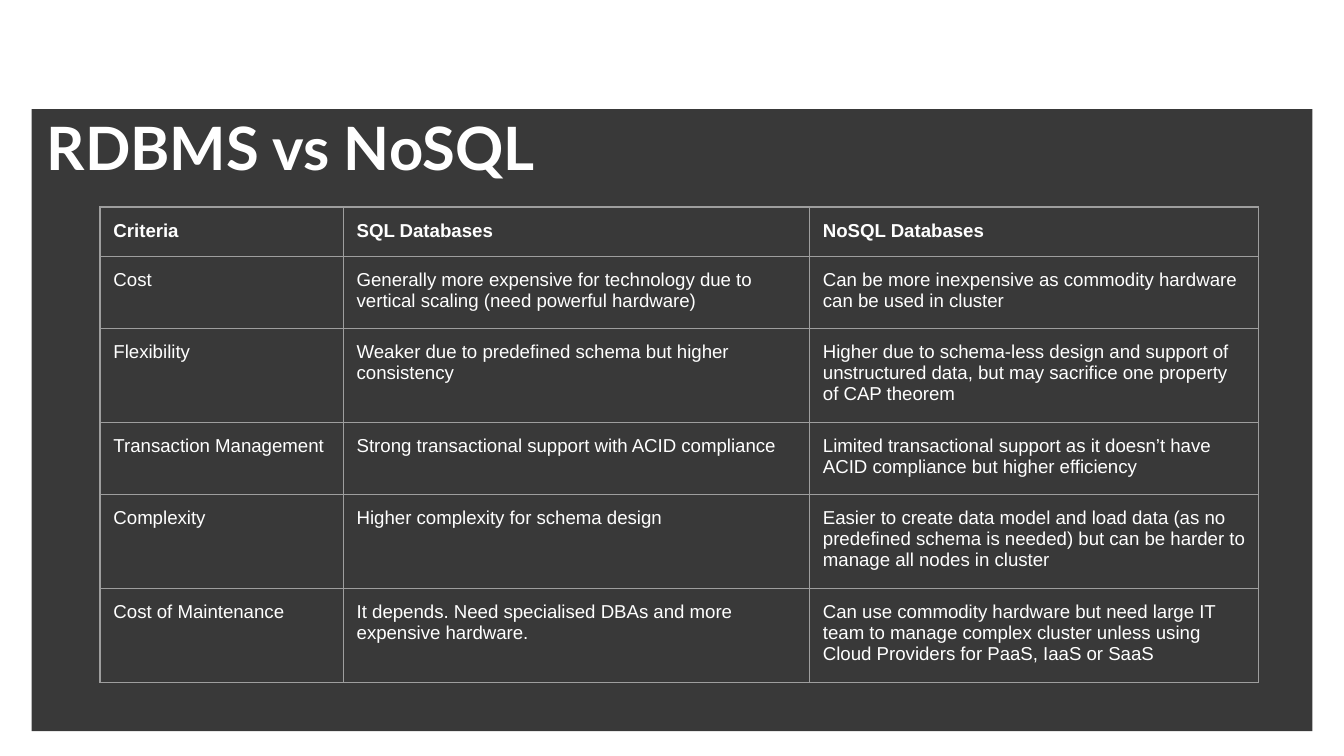
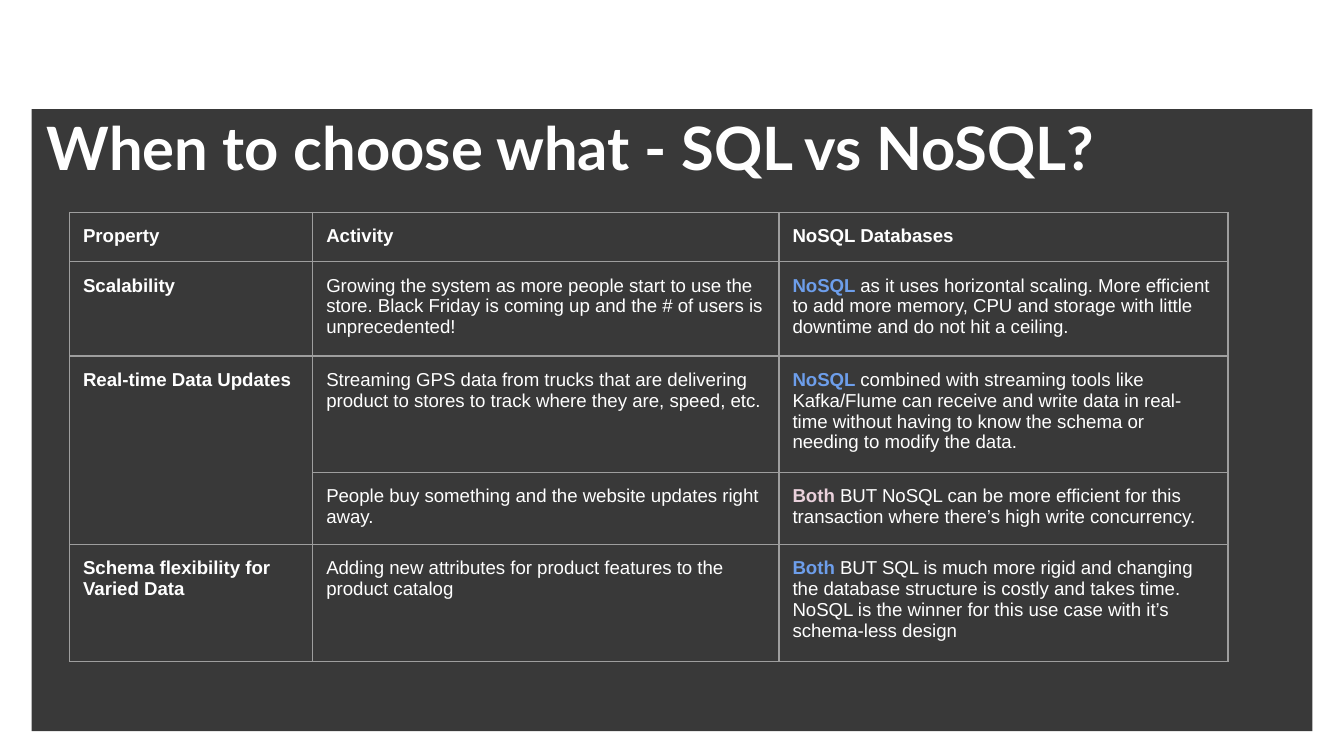
from lxml import etree
from pptx import Presentation
from pptx.dml.color import RGBColor
from pptx.enum.shapes import MSO_SHAPE
from pptx.enum.text import MSO_ANCHOR, PP_ALIGN
from pptx.oxml.ns import qn
from pptx.util import Pt

# Shared style
WHITE, PANEL, BORDER = "FFFFFF", "393939", "9E9E9E"
BLUE, PINK = "6D9EEB", "EAD1DC"
TITLE_FONT, BODY_FONT = "Lato", "Arial"
COLUMN_WIDTHS = (130.3, 249.8, 240.5)
CELL_MARGIN = 7.2
ROW_HEIGHT, SPLIT_ROW_HEIGHT = 17.28, 7.92

# Table contents: a cell is text, or a (verdict, colour, rest) tuple
COMPARISON = [
    ("Criteria", "SQL Databases", "NoSQL Databases"),
    ("Cost",
     "Generally more expensive for technology due to vertical scaling (need powerful hardware)",
     "Can be more inexpensive as commodity hardware can be used in cluster"),
    ("Flexibility",
     "Weaker due to predefined schema but higher consistency",
     "Higher due to schema-less design and support of unstructured data, "
     "but may sacrifice one property of CAP theorem"),
    ("Transaction Management",
     "Strong transactional support with ACID compliance",
     "Limited transactional support as it doesn’t have ACID compliance but higher efficiency"),
    ("Complexity",
     "Higher complexity for schema design",
     "Easier to create data model and load data (as no predefined schema is needed) "
     "but can be harder to manage all nodes in cluster"),
    ("Cost of Maintenance",
     "It depends. Need specialised DBAs and more expensive hardware.",
     "Can use commodity hardware but need large IT team to manage complex cluster "
     "unless using Cloud Providers for PaaS, IaaS or SaaS"),
]
CHOICES = [
    ("Property", "Activity", "NoSQL Databases"),
    ("Scalability",
     "Growing the system as more people start to use the store. "
     "Black Friday is coming up and the # of users is unprecedented!",
     ("NoSQL ", BLUE, "as it uses horizontal scaling. More efficient to add more memory, "
      "CPU and storage with little downtime and do not hit a ceiling.")),
    ("Real-time Data Updates",
     "Streaming GPS data from trucks that are delivering product to stores "
     "to track where they are, speed, etc.",
     ("NoSQL ", BLUE, "combined with streaming tools like Kafka/Flume can receive and write "
      "data in real-time without having to know the schema or needing to modify the data.")),
    ("",
     "People buy something and the website updates right away.",
     ("Both ", PINK, "BUT NoSQL can be more efficient for this transaction "
      "where there’s high write concurrency.")),
    ("Schema flexibility for Varied Data",
     "Adding new attributes for product features to the product catalog",
     ("Both ", BLUE, "BUT SQL is much more rigid and changing the database structure is costly "
      "and takes time. NoSQL is the winner for this use case with it’s schema-less design")),
]


def color(hex_string):
    return RGBColor.from_string(hex_string)


def add_text(paragraph, text, font=BODY_FONT, size=10, fill=WHITE, bold=False):
    paragraph.font.size = Pt(size)
    if text:
        run = paragraph.add_run()
        run.text = text
        run.font.name = font
        run.font.size = Pt(size)
        run.font.bold = bold
        run.font.color.rgb = color(fill)


def add_rectangle(slide, left, top, width, height, fill):
    shape = slide.shapes.add_shape(
        MSO_SHAPE.RECTANGLE, Pt(left), Pt(top), Pt(width), Pt(height))
    shape.shadow.inherit = False
    shape.fill.solid()
    shape.fill.fore_color.rgb = color(fill)
    shape.line.fill.background()


def add_title(slide, text):
    box = slide.shapes.add_textbox(Pt(18), Pt(58.3), Pt(684), Pt(41))
    frame = box.text_frame
    frame.word_wrap = True
    frame.vertical_anchor = MSO_ANCHOR.MIDDLE
    paragraph = frame.paragraphs[0]
    paragraph.alignment = PP_ALIGN.LEFT
    add_text(paragraph, text, font=TITLE_FONT, size=32, bold=True)


def add_borders(cell):
    properties = cell._tc.get_or_add_tcPr()
    for position, side in enumerate(("lnL", "lnR", "lnT", "lnB")):
        line = etree.Element(qn(f"a:{side}"), w=str(Pt(0.75)))
        fill = etree.SubElement(line, qn("a:solidFill"))
        etree.SubElement(fill, qn("a:srgbClr"), val=BORDER)
        properties.insert(position, line)


def fill_cell(cell, content, bold):
    cell.fill.background()
    add_borders(cell)
    cell.margin_left = cell.margin_right = Pt(CELL_MARGIN)
    cell.margin_top = cell.margin_bottom = Pt(CELL_MARGIN)
    paragraph = cell.text_frame.paragraphs[0]
    if isinstance(content, tuple):
        verdict, verdict_color, content = content
        add_text(paragraph, verdict, fill=verdict_color, bold=True)
    add_text(paragraph, content, bold=bold)


def add_grid(slide, left, top, rows, bold_labels=False, split_rows=()):
    frame = slide.shapes.add_table(
        len(rows), len(COLUMN_WIDTHS), Pt(left), Pt(top),
        Pt(sum(COLUMN_WIDTHS)), Pt(ROW_HEIGHT * len(rows)))
    table = frame.table
    table.first_row = table.horz_banding = False
    for column, width in zip(table.columns, COLUMN_WIDTHS):
        column.width = Pt(width)
    for row_index, row in enumerate(rows):
        height = SPLIT_ROW_HEIGHT if row_index in split_rows else ROW_HEIGHT
        table.rows[row_index].height = Pt(height)
        for column_index, content in enumerate(row):
            bold = row_index == 0 or (bold_labels and column_index == 0)
            fill_cell(table.cell(row_index, column_index), content, bold)
    # One label spans the split rows
    if split_rows:
        table.cell(split_rows[0], 0).merge(table.cell(split_rows[-1], 0))


def add_base_slide(presentation, title):
    slide = presentation.slides.add_slide(presentation.slide_layouts[6])
    slide.background.fill.solid()
    slide.background.fill.fore_color.rgb = color(WHITE)
    add_rectangle(slide, 17, 13.7, 686, 378, PANEL)
    add_rectangle(slide, 12, 0, 696, 58.3, WHITE)
    add_title(slide, title)
    return slide


def main():
    presentation = Presentation()
    presentation.slide_width = Pt(720)
    presentation.slide_height = Pt(405)

    # Comparison by criteria
    slide = add_base_slide(presentation, "RDBMS vs NoSQL")
    add_grid(slide, 53.6, 110.9, COMPARISON)

    # Choice by property
    slide = add_base_slide(presentation, "When to choose what - SQL vs NoSQL?")
    add_grid(slide, 37.3, 113.8, CHOICES, bold_labels=True, split_rows=(2, 3))

    presentation.save("out.pptx")


if __name__ == "__main__":
    main()
